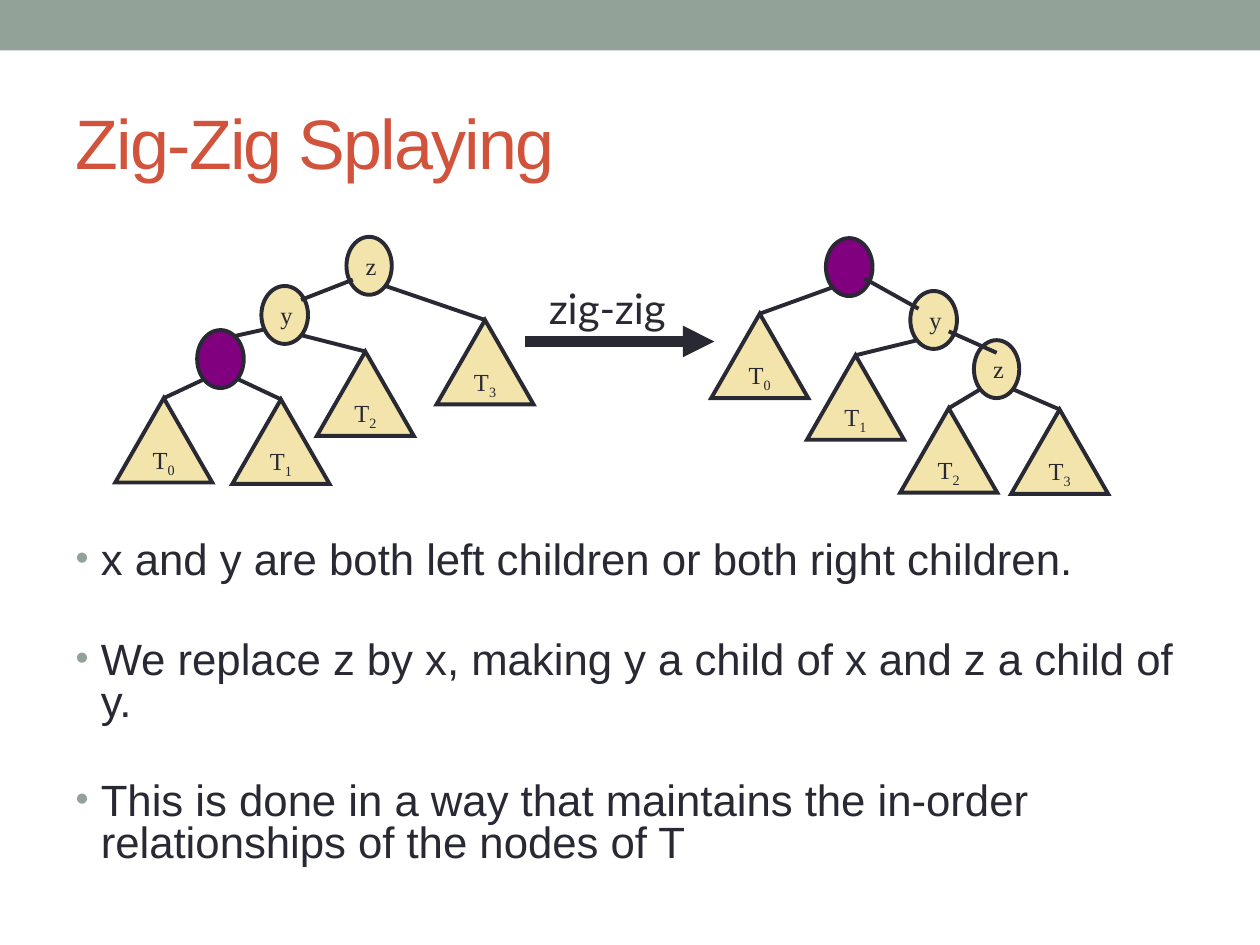
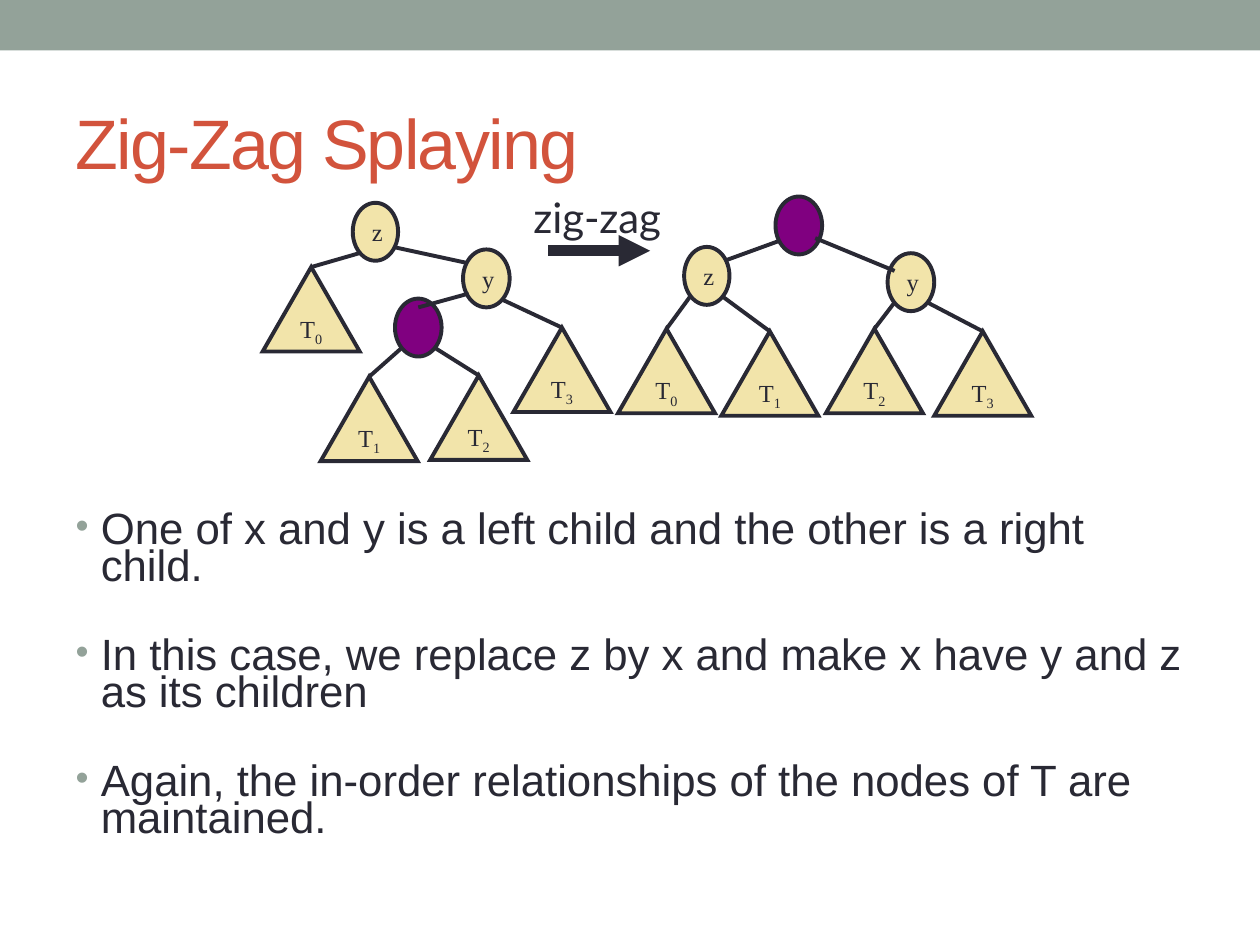
from lxml import etree
from pptx import Presentation
from pptx.dml.color import RGBColor
from pptx.enum.shapes import MSO_CONNECTOR, MSO_SHAPE
from pptx.enum.text import MSO_ANCHOR, MSO_AUTO_SIZE, PP_ALIGN
from pptx.oxml.ns import qn
from pptx.util import Inches, Pt

RECTANGLE, OVAL = MSO_SHAPE.RECTANGLE, MSO_SHAPE.OVAL
TRIANGLE = MSO_SHAPE.ISOSCELES_TRIANGLE
STRAIGHT = MSO_CONNECTOR.STRAIGHT
MIDDLE, TOP = MSO_ANCHOR.MIDDLE, MSO_ANCHOR.TOP
LEFT, CENTER = PP_ALIGN.LEFT, PP_ALIGN.CENTER
NO_AUTOFIT = MSO_AUTO_SIZE.NONE

COLORS = {
    "band": "93A299",
    "title": "D2533C",
    "ink": "292934",
    "node": "F2E4AA",
    "splayed": "800080",
}
BODY_FONT, LABEL_FONT, STEP_FONT = "Arial", "Times New Roman", "Lato"
NODE_WIDTHS = {"x": 0.37, "y": 0.37, "z": 0.36}
NODE_HEIGHT = 0.46
SUBTREE_WIDTH, SUBTREE_HEIGHT = 0.77, 0.67
BODY_BOTTOM = 7.08

# Nodes are given by centre, subtrees by (branch start, apex), links by ends.
SPLAYS = [
    {
        "title": "Zig-Zig Splaying",
        "step": "zig-zig",
        "step_box": (4.25, 2.19, 1.14, 0.5),
        "arrow": ((4.17, 2.71), (5.67, 2.71)),
        "body_top": 4.25,
        "line_spacing": 0.8,
        "gap": 33,
        "points": [
            "x and y are both left children or both right children.",
            "We replace z by x, making y a child of x and z a child of y.",
            "This is done in a way that maintains the in-order "
            "relationships of the nodes of T",
        ],
        "trees": [
            {
                "links_behind": [((2.12, 2.61), (1.76, 2.69))],
                "nodes": {"y": (2.26, 2.5), "x": (1.75, 2.85), "z": (2.93, 2.11)},
                "subtrees": [
                    ((1.62, 3.01), (1.3, 3.16)),
                    ((1.89, 3.01), (2.23, 3.17)),
                    ((2.39, 2.66), (2.9, 2.79)),
                    ((3.06, 2.27), (3.85, 2.54)),
                ],
                "links": [((2.8, 2.22), (2.39, 2.38))],
            },
            {
                "links_behind": [],
                "nodes": {"y": (7.41, 2.54), "z": (7.91, 2.93), "x": (6.74, 2.12)},
                "subtrees": [
                    ((6.61, 2.28), (6.03, 2.49)),
                    ((7.28, 2.7), (6.79, 2.82)),
                    ((7.78, 3.09), (7.53, 3.24)),
                    ((8.04, 3.09), (8.41, 3.25)),
                ],
                "links": [((7.53, 2.63), (7.91, 2.8)), ((6.86, 2.21), (7.29, 2.45))],
            },
        ],
    },
    {
        "title": "Zig-Zag Splaying",
        "step": "zig-zag",
        "step_box": (4.12, 1.47, 1.24, 0.5),
        "arrow": ((4.35, 1.99), (5.16, 1.99)),
        "body_top": 4.04,
        "line_spacing": 0.7,
        "gap": 30,
        "points": [
            "One of x and y is a left child and the other is a right child.",
            "In this case, we replace z by x and make x have y and z "
            "as its children",
            "Again, the in-order relationships of the nodes of T are maintained.",
        ],
        "trees": [
            {
                "links_behind": [((3.12, 1.96), (3.72, 2.09))],
                "nodes": {"y": (3.86, 2.21), "x": (3.32, 2.6), "z": (2.98, 1.84)},
                "subtrees": [
                    ((2.85, 2.01), (2.47, 2.12)),
                    ((3.19, 2.76), (2.93, 2.99)),
                    ((3.45, 2.76), (3.8, 2.98)),
                    ((3.99, 2.38), (4.46, 2.6)),
                ],
                "links": [((3.72, 2.33), (3.32, 2.44))],
            },
            {
                "links_behind": [],
                "nodes": {"y": (7.23, 2.24), "x": (6.34, 1.79), "z": (5.61, 2.19)},
                "subtrees": [
                    ((5.48, 2.35), (5.29, 2.61)),
                    ((5.73, 2.35), (6.11, 2.63)),
                    ((7.1, 2.4), (6.94, 2.61)),
                    ((7.36, 2.4), (7.8, 2.63)),
                ],
                "links": [((7.1, 2.15), (6.47, 1.89)), ((5.75, 2.07), (6.19, 1.91))],
            },
        ],
    },
]


def rgb(name):
    return RGBColor.from_string(COLORS[name])


def format_font(font, name, size, color):
    font.name = name
    font.size = Pt(size)
    font.color.rgb = rgb(color)


def place(shape, left, top, width, height):
    shape.left, shape.top = Inches(left), Inches(top)
    shape.width, shape.height = Inches(width), Inches(height)


def add_filled(slide, preset, left, top, width, height, fill, outlined=True):
    shape = slide.shapes.add_shape(
        preset, Inches(left), Inches(top), Inches(width), Inches(height))
    shape.shadow.inherit = False
    shape.fill.solid()
    shape.fill.fore_color.rgb = rgb(fill)
    if outlined:
        shape.line.color.rgb = rgb("ink")
        shape.line.width = Pt(2.25)
        outline = shape.line._get_or_add_ln()
        etree.SubElement(outline, qn("a:miter"), lim="800000")
    else:
        shape.line.fill.background()
    return shape


def add_label(shape, text, font_name, size):
    """Centre one unwrapped line in a shape and return its paragraph."""
    frame = shape.text_frame
    frame.text = text
    frame.word_wrap = False
    frame.auto_size = NO_AUTOFIT
    frame.vertical_anchor = MIDDLE
    label = frame.paragraphs[0]
    label.alignment = CENTER
    format_font(label.runs[0].font, font_name, size, "ink")
    return label


def add_link(slide, start, end, width=2.25):
    link = slide.shapes.add_connector(STRAIGHT, *map(Inches, start + end))
    link.line.color.rgb = rgb("ink")
    link.line.width = Pt(width)
    etree.SubElement(link._element.spPr, qn("a:effectLst"))
    return link


def add_node(slide, name, center):
    """Draw a tree node; the splayed node x is told by its colour alone."""
    x, y = center
    width = NODE_WIDTHS[name]
    splayed = name == "x"
    node = add_filled(slide, OVAL, x - width / 2, y - NODE_HEIGHT / 2,
                      width, NODE_HEIGHT, "splayed" if splayed else "node")
    if not splayed:
        add_label(node, name, LABEL_FONT, 14)
        node.text_frame.margin_left = Inches(0.13)


def add_subtree(slide, index, branch_start, apex):
    x, y = apex
    subtree = add_filled(slide, TRIANGLE, x - SUBTREE_WIDTH / 2, y,
                         SUBTREE_WIDTH, SUBTREE_HEIGHT, "node")
    label = add_label(subtree, "T", LABEL_FONT, 14)
    subscript = label.add_run()
    subscript.text = str(index)
    format_font(subscript.font, LABEL_FONT, 14, "ink")
    subscript.font._element.set("baseline", "-25000")
    add_link(slide, branch_start, apex)


def add_tree(slide, tree):
    for start, end in tree["links_behind"]:
        add_link(slide, start, end)
    for name, center in tree["nodes"].items():
        add_node(slide, name, center)
    for index, (branch_start, apex) in enumerate(tree["subtrees"]):
        add_subtree(slide, index, branch_start, apex)
    for start, end in tree["links"]:
        add_link(slide, start, end)


def add_step(slide, text, box, arrow_ends):
    step = slide.shapes.add_textbox(*map(Inches, box))
    add_label(step, text, STEP_FONT, 24)
    arrow = add_link(slide, *arrow_ends, width=6)
    etree.SubElement(arrow.line._get_or_add_ln(), qn("a:tailEnd"), type="triangle")


def set_title(slide, text):
    title = slide.shapes.title
    place(title, 0.5, 0.58, 9, 1.08)
    frame = title.text_frame
    frame.text = text
    frame.auto_size = NO_AUTOFIT
    frame.vertical_anchor = MIDDLE
    heading = frame.paragraphs[0]
    heading.alignment = LEFT
    font = heading.runs[0].font
    format_font(font, BODY_FONT, 40, "title")
    font._element.set("spc", "-100")


def add_bullet(paragraph):
    properties = paragraph._p.get_or_add_pPr()
    properties.set("marL", str(Inches(0.2)))
    properties.set("indent", str(-Inches(0.2)))
    bullet_color = etree.SubElement(properties, qn("a:buClr"))
    etree.SubElement(bullet_color, qn("a:srgbClr"), val=COLORS["band"])
    etree.SubElement(properties, qn("a:buSzPct"), val="85000")
    etree.SubElement(properties, qn("a:buFont"), typeface=BODY_FONT)
    etree.SubElement(properties, qn("a:buChar"), char="•")


def set_points(slide, points, top, line_spacing, gap):
    body = slide.placeholders[1]
    place(body, 0.5, top, 9, BODY_BOTTOM - top)
    frame = body.text_frame
    frame.text = "\n".join(points)
    frame.auto_size = NO_AUTOFIT
    frame.vertical_anchor = TOP
    for number, point in enumerate(frame.paragraphs):
        add_bullet(point)
        point.line_spacing = line_spacing
        point.space_before = Pt(gap if number else 0)
        format_font(point.runs[0].font, BODY_FONT, 25, "ink")


def add_splay_slide(deck, splay):
    slide = deck.slides.add_slide(deck.slide_layouts[1])
    add_filled(slide, RECTANGLE, 0, 0, 10, 0.4, "band", outlined=False)
    set_title(slide, splay["title"])
    set_points(slide, splay["points"], splay["body_top"],
               splay["line_spacing"], splay["gap"])
    # Trees before and after the rotation, with the step between them
    for tree in splay["trees"]:
        add_tree(slide, tree)
    add_step(slide, splay["step"], splay["step_box"], splay["arrow"])


def main():
    deck = Presentation()
    deck.slide_width, deck.slide_height = Inches(10), Inches(7.5)
    for splay in SPLAYS:
        add_splay_slide(deck, splay)
    deck.save("out.pptx")


if __name__ == "__main__":
    main()
